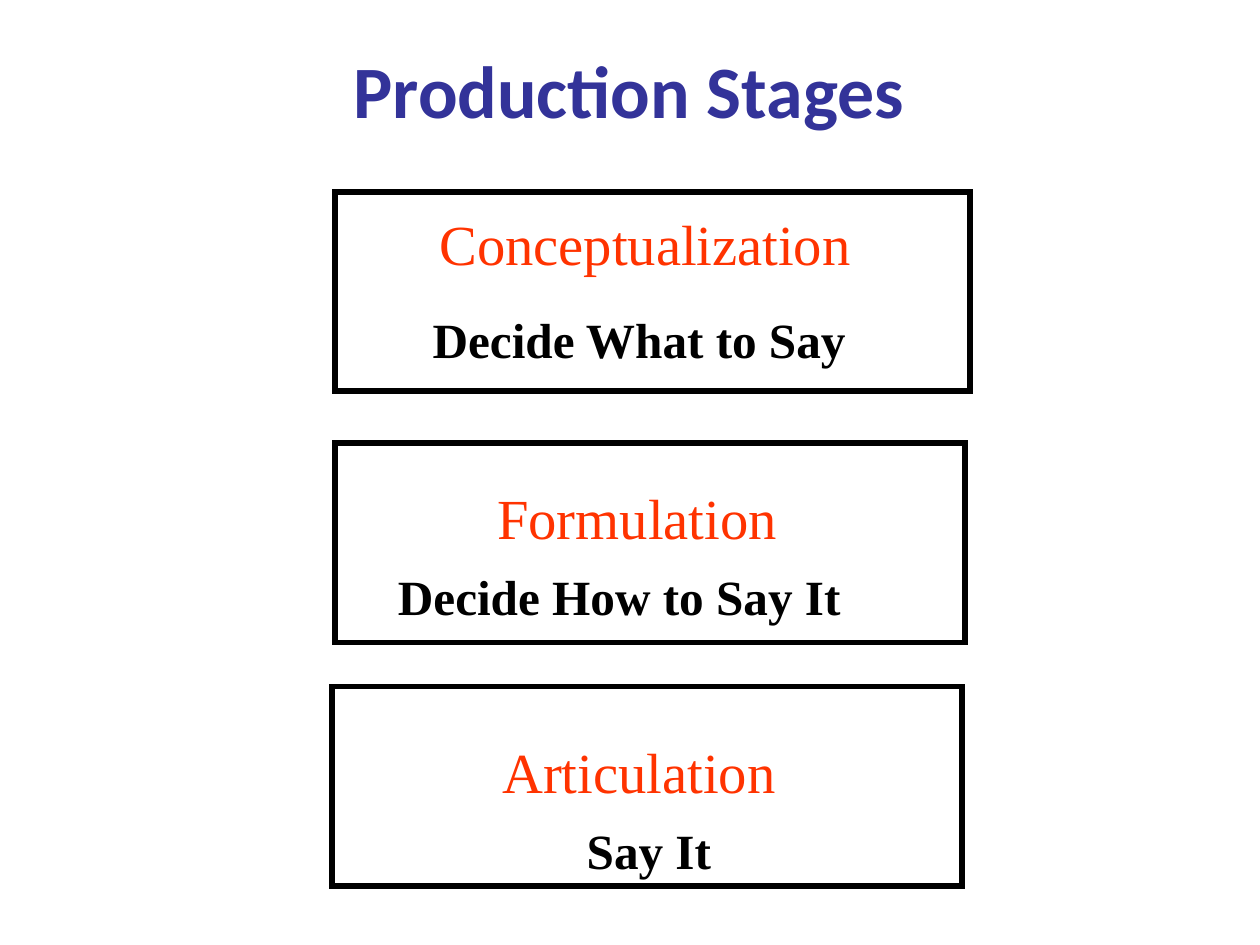
"""Builds the Production Stages slide: three framed stages with their tasks."""
from lxml import etree
from pptx import Presentation
from pptx.dml.color import RGBColor
from pptx.enum import shapes, text
from pptx.oxml.ns import qn
from pptx.util import Pt


def colour(hex_string):
    return RGBColor.from_string(hex_string)


def add_label(slide, label, size, hex_string, bold):
    words, left, top, width, height, wraps = label
    box = slide.shapes.add_textbox(Pt(left), Pt(top), Pt(width), Pt(height))
    frame = box.text_frame
    frame.word_wrap = wraps
    frame.auto_size = text.MSO_AUTO_SIZE.SHAPE_TO_FIT_TEXT
    frame.margin_left = frame.margin_right = Pt(10.1)
    frame.margin_top = frame.margin_bottom = Pt(5)
    line = frame.paragraphs[0]
    line.text = words
    line.font.name = "Times New Roman"
    line.font.size = Pt(size)
    line.font.bold = bold
    line.font.color.rgb = colour(hex_string)


prs = Presentation()
prs.slide_width, prs.slide_height = Pt(1023.87), Pt(767.87)
slide = prs.slides.add_slide(prs.slide_layouts[5])

title = slide.shapes.title
title.left, title.top, title.width, title.height = Pt(80), Pt(18), Pt(862), Pt(108)
heading = title.text_frame
heading.word_wrap = True
heading.auto_size = text.MSO_AUTO_SIZE.NONE
heading.vertical_anchor = text.MSO_ANCHOR.MIDDLE
heading.margin_left, heading.margin_right = Pt(13), Pt(13)
heading.margin_top = heading.margin_bottom = 0
heading_line = heading.paragraphs[0]
heading_line.text = "Production Stages"
heading_line.alignment = text.PP_ALIGN.CENTER
heading_line.font.name = "Calibri"
heading_line.font.size = Pt(60)
heading_line.font.bold = True
heading_line.font.color.rgb = colour("333399")

tasks = [
    ("Decide What to Say", 341.5, 246.5, 392.4, 58.3, True),
    ("Decide How to Say It", 313.3, 455.3, 380.2, 58.3, False),
    ("Say It", 466.6, 661.8, 121.7, 58.3, False),
]
frames = [(272.2, 155.9, 516.2), (272.2, 360, 511.9), (270, 558, 511.9)]
stages = [
    ("Conceptualization", 347, 165, 355, 65.5, False),
    ("Formulation", 394, 387.4, 256.3, 65.5, True),
    ("Articulation", 398, 594, 265, 65.5, True),
]

for task in tasks:
    add_label(slide, task, 40, "000000", True)

for left, top, width in frames:
    outline = slide.shapes.add_shape(
        shapes.MSO_SHAPE.RECTANGLE, Pt(left), Pt(top), Pt(width), Pt(162))
    outline.shadow.inherit = False
    outline.fill.background()
    outline.line.color.rgb = colour("000000")
    outline.line.width = Pt(4.5)
    etree.SubElement(outline.line._get_or_add_ln(), qn("a:miter"), lim="800000")

for stage in stages:
    add_label(slide, stage, 46, "FF3300", False)

prs.save("out.pptx")
